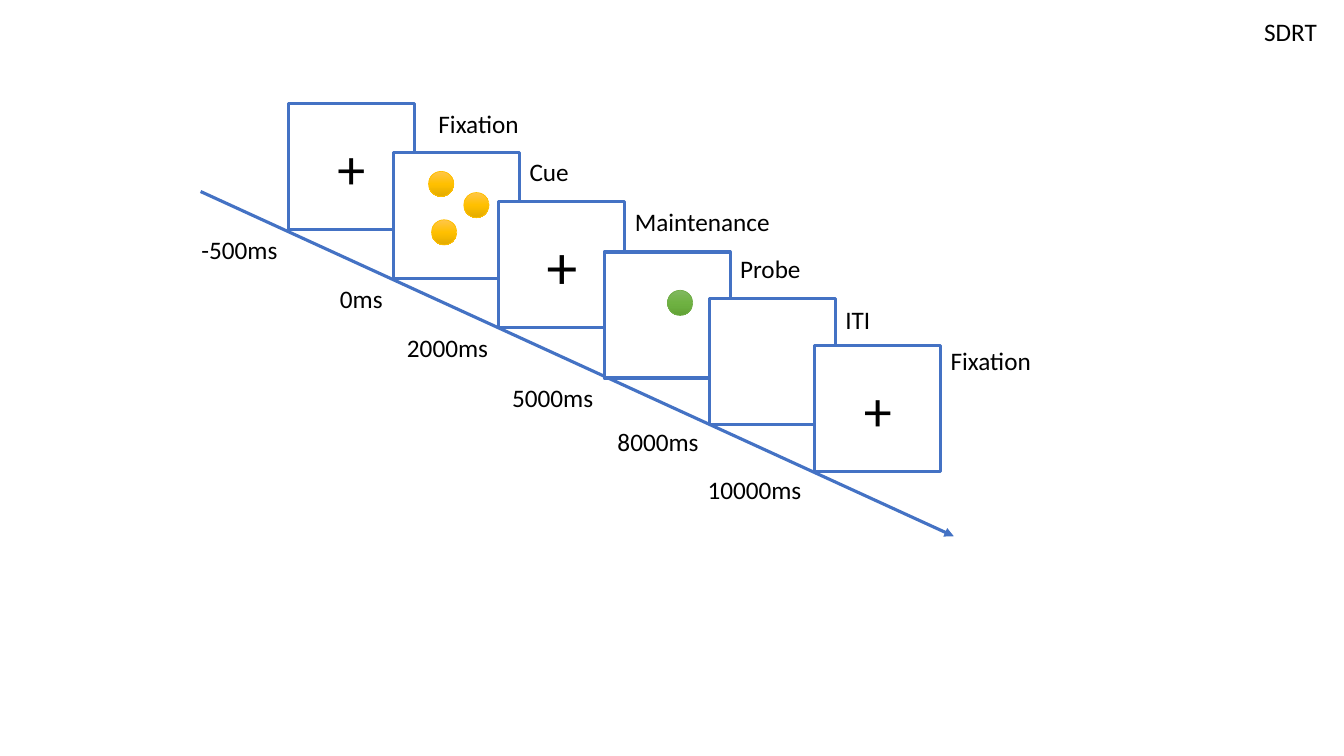
from copy import deepcopy

from lxml.etree import SubElement
from pptx import Presentation
from pptx.dml.color import RGBColor
from pptx.enum.shapes import MSO_CONNECTOR, MSO_SHAPE
from pptx.enum.text import MSO_ANCHOR, MSO_AUTO_SIZE, PP_ALIGN
from pptx.oxml.ns import qn
from pptx.util import Inches, Pt


def rgb(value):
    return RGBColor.from_string(value)


class Timeline:
    """Draws the elements of a trial timeline on one slide."""

    font, ink, blue, paper = "Calibri", "000000", "4472C4", "FFFFFF"
    frame_size, dot_size, text_height = 1.25, 0.25, 0.4

    def __init__(self, slide):
        self.s = slide

    def style(self, p, size):
        for r in p.runs:
            r.font.name, r.font.size = self.font, Pt(size)
            r.font.color.rgb = rgb(self.ink)

    def outline(self, line, color, width):
        line.color.rgb = rgb(color)
        line.width = Pt(width)

    def shape(self, kind, x, y, size):
        sp = self.s.shapes.add_shape(kind, Inches(x), Inches(y), Inches(size), Inches(size))
        sp.shadow.inherit = False
        return sp

    def arrow(self, x1, y1, x2, y2):
        cx = self.s.shapes.add_connector(
            MSO_CONNECTOR.STRAIGHT, Inches(x1), Inches(y1), Inches(x2), Inches(y2))
        self.outline(cx.line, self.blue, 2.25)
        SubElement(cx.line._get_or_add_ln(), qn("a:tailEnd"), type="triangle")
        SubElement(cx.element.spPr, qn("a:effectLst"))

    def frame(self, x, y, cross_size=None):
        sp = self.shape(MSO_SHAPE.RECTANGLE, x, y, self.frame_size)
        sp.fill.solid()
        sp.fill.fore_color.rgb = rgb(self.paper)
        self.outline(sp.line, self.blue, 2.25)
        if cross_size:
            tf = sp.text_frame
            tf.text = "+"
            tf.vertical_anchor = MSO_ANCHOR.MIDDLE
            p = tf.paragraphs[0]
            p.alignment = PP_ALIGN.CENTER
            self.style(p, cross_size)

    def dot(self, x, y, stops, line):
        sp = self.shape(MSO_SHAPE.OVAL, x, y, self.dot_size)
        sp.fill.gradient()
        sp.fill.gradient_angle = 270
        gs_list = sp.element.spPr.find(qn("a:gradFill")).find(qn("a:gsLst"))
        gs_list.insert(1, deepcopy(gs_list[0]))
        for stop, position, color in zip(sp.fill.gradient_stops, (0, 0.5, 1), stops):
            stop.position = position
            stop.color.rgb = rgb(color)
        self.outline(sp.line, line, 0.5)

    def text(self, x, y, width, words):
        sp = self.s.shapes.add_textbox(
            Inches(x), Inches(y), Inches(width), Inches(self.text_height))
        tf = sp.text_frame
        tf.text = words
        tf.word_wrap = False
        tf.auto_size = MSO_AUTO_SIZE.SHAPE_TO_FIT_TEXT
        self.style(tf.paragraphs[0], 18)


LEFT, STEP = 2.86, 1.044
AMBER = ("FFC64B", "FFC000", "E3AB00")
GREEN = ("81B861", "6FB242", "62A336")

# frame top, cross size, (label, gap, top, width), (time, top, width)
PHASES = [
    (1.03, 40, ("Fixation", 0.14, 1.03, 1.01), ("-500ms", 2.28, 0.96)),
    (1.51, None, ("Cue", 0, 1.5, 0.6), ("0ms", 2.76, 0.63)),
    (2, 44, ("Maintenance", 0, 2, 1.56), ("2000ms", 3.25, 1.01)),
    (2.5, None, ("Probe", 0, 2.46, 0.81), ("5000ms", 3.74, 1.01)),
    (2.96, None, ("ITI", 0, 2.97, 0.45), ("8000ms", 4.18, 1.01)),
    (3.43, 40, ("Fixation", 0, 3.38, 1.01), ("10000ms", 4.66, 1.16)),
]

prs = Presentation()
prs.slide_width, prs.slide_height = Inches(13.33), Inches(7.5)
timeline = Timeline(prs.slides.add_slide(prs.slide_layouts[6]))

timeline.arrow(1.99, 1.9, 9.46, 5.32)
for i, (top, cross, label, time) in enumerate(PHASES):
    x = LEFT + i * STEP
    timeline.frame(x, top, cross)
    words, gap, y, width = label
    timeline.text(x + timeline.frame_size + gap, y, width, words)
    words, y, width = time
    timeline.text(x - width, y, width, words)

for x, y in ((4.25, 1.7), (4.6, 1.91), (4.28, 2.18)):
    timeline.dot(x, y, AMBER, "FFC000")
timeline.dot(6.62, 2.88, GREEN, "70AD47")
timeline.text(12.44, 0.11, 0.73, "SDRT")

prs.save("out.pptx")
